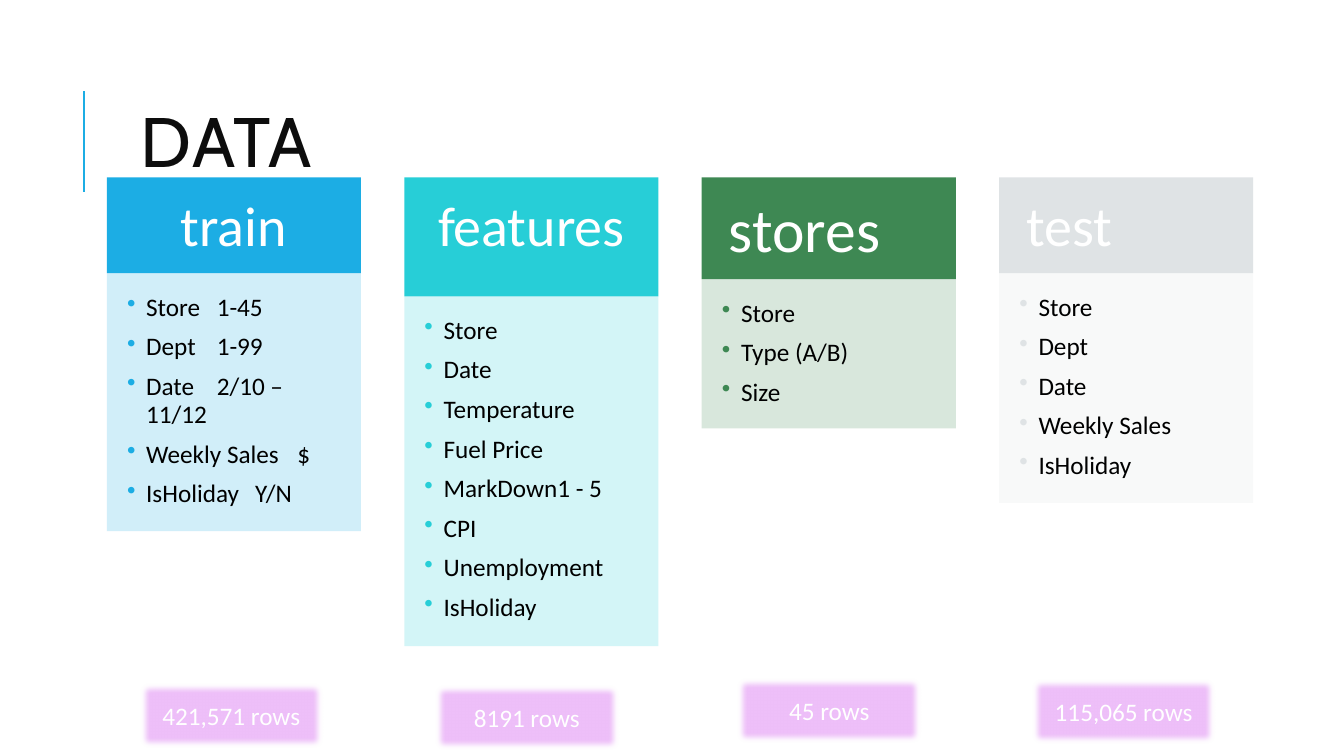
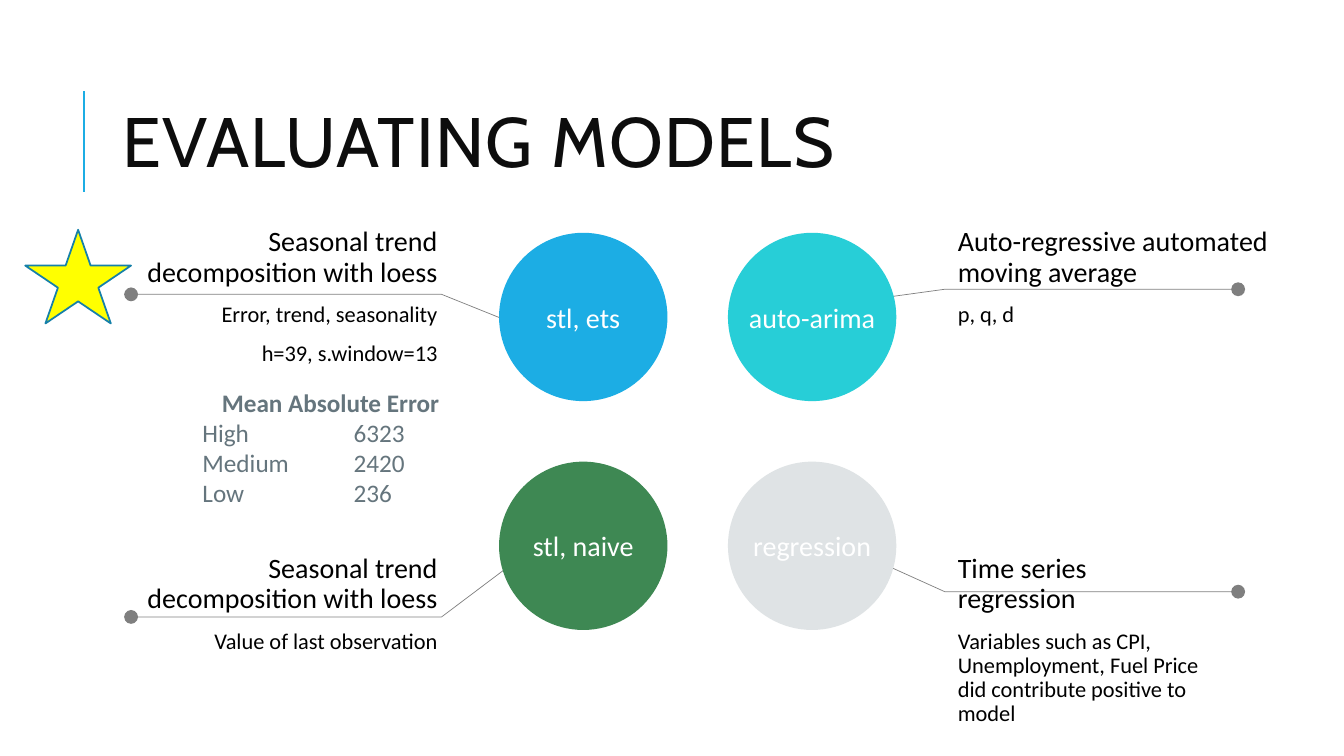
from dataclasses import dataclass

from pptx import Presentation
from pptx.dml.color import RGBColor
from pptx.enum.shapes import MSO_CONNECTOR as Connector, MSO_SHAPE as Preset
from pptx.enum.text import MSO_ANCHOR as Anchor, PP_ALIGN as Align
from pptx.oxml.ns import qn
from pptx.util import Emu, Inches, Pt
from lxml.etree import SubElement


@dataclass(frozen=True)
class Theme:
    accents: tuple = ("1CADE4", "27CED7", "3E8853", "DFE3E5")
    outline: str = "1580A9"
    badge: str = "EEBFF9"
    star: str = "FFFF00"
    slate: str = "65757D"
    ink: str = "000000"
    title_ink: str = "0D0D0D"
    white: str = "FFFFFF"
    title_font: str = "Cabin"
    body_font: str = "Calibri"
    title_size: int = 50
    header_size: int = 40
    large_header_size: int = 44
    label_size: int = 20
    body_size: int = 18
    detail_size: int = 16


THEME = Theme()
WIDTH, HEIGHT = 13.33, 7.5
CARD_LEFT, CARD_TOP, CARD_WIDTH, CARD_PITCH = 1.06, 1.76, 2.52, 2.95
CIRCLE_LEFT, CIRCLE_TOP, CIRCLE_SIZE, CIRCLE_PITCH = 4.95, 2.31, 1.67, 2.27
BADGE_SIZE = (1.87, 0.7)

CARDS = [
    ("train", THEME.header_size, Align.CENTER, 0.95, 2.56,
     ["Store\t1-45", "Dept\t1-99", "Date\t2/10 –\v11/12", "Weekly Sales\t$", "IsHoliday\tY/N"]),
    ("features", THEME.header_size, Align.CENTER, 1.18, 3.47,
     ["Store", "Date", "Temperature", "Fuel Price", "MarkDown1 - 5", "CPI",
      "Unemployment", "IsHoliday"]),
    ("stores", THEME.large_header_size, Align.LEFT, 1.01, 1.48,
     ["Store", "Type (A/B)", "Size"]),
    ("test", THEME.header_size, Align.LEFT, 0.95, 2.28,
     ["Store", "Dept", "Date", "Weekly Sales", "IsHoliday"]),
]
CARD_TABS = (0.89, 1.27, 1.69)
BADGES = [
    ("421,571 rows", 1.36, 6.75),
    ("8191 rows", 4.29, 6.77),
    ("45 rows", 7.29, 6.7),
    ("115,065 rows", 10.21, 6.71),
]
MODELS = ["stl, ets", "auto-arima", "stl, naive", "regression"]
LEADERS = [
    [(8.64, 2.97), (9.37, 2.87), (12.28, 2.87)],
    [(8.64, 5.54), (9.37, 5.87), (12.28, 5.87)],
    [(5.15, 3.23), (4.38, 2.92), (1.3, 2.92)],
    [(5.15, 5.54), (4.38, 6.12), (1.3, 6.12)],
]
NOTES = [
    ((9.37, 2.21, 3.64, 1.1), Align.LEFT,
     ["Auto-regressive automated moving average", "p, q, d"]),
    ((9.37, 5.45, 2.75, 1.53), Align.LEFT,
     ["Time series regression",
      "Variables such as CPI, Unemployment, Fuel Price did contribute positive to model"]),
    ((1.3, 2.21, 3.17, 1.5), Align.RIGHT,
     ["Seasonal trend decomposition with loess", "Error, trend, seasonality",
      "h=39, s.window=13"]),
    ((1.12, 5.45, 3.35, 1.1), Align.RIGHT,
     ["Seasonal trend decomposition with loess", "Value of last observation"]),
]
ERRORS = ["Mean Absolute Error", "High\t6323", "Medium\t2420", "Low\t236"]


def color(value):
    return RGBColor.from_string(value)


def box(left, top, width, height):
    return [Inches(length) for length in (left, top, width, height)]


def set_alpha(fill_parent, percent):
    color_element = fill_parent.find(qn("a:solidFill"))[0]
    SubElement(color_element, qn("a:alpha"), val=str(percent * 1000))


def style_font(paragraph, size, ink, name=THEME.body_font, bold=False):
    font = paragraph.font
    font.size, font.name, font.bold = Pt(size), name, bold
    font.color.rgb = color(ink)


def add_tabs(paragraph, stops):
    tabs = SubElement(paragraph._p.get_or_add_pPr(), qn("a:tabLst"))
    for stop in stops:
        SubElement(tabs, qn("a:tab"), pos=str(Inches(stop)), algn="l")


def add_bullet(paragraph, accent):
    properties = paragraph._p.get_or_add_pPr()
    properties.set("marL", str(Inches(0.19)))
    properties.set("indent", str(-Inches(0.19)))
    SubElement(SubElement(properties, qn("a:buClr")), qn("a:srgbClr"), val=accent)
    SubElement(properties, qn("a:buChar"), char="•")


def prepare_frame(shape, margins=(0.1, 0.05), anchor=Anchor.TOP, wrap=True):
    frame = shape.text_frame
    frame.word_wrap, frame.vertical_anchor = wrap, anchor
    frame.margin_left = frame.margin_right = Inches(margins[0])
    frame.margin_top = frame.margin_bottom = Inches(margins[1])
    return frame


def write(frame, lines):
    for index, line in enumerate(lines):
        paragraph = frame.add_paragraph() if index else frame.paragraphs[0]
        paragraph.text = line
        yield index, paragraph


def add_shape(slide, preset, bounds, fill, outline=None):
    shape = slide.shapes.add_shape(preset, *box(*bounds))
    shape.shadow.inherit = False
    shape.fill.solid()
    shape.fill.fore_color.rgb = color(fill)
    if outline:
        shape.line.color.rgb = color(outline)
        shape.line.width = Pt(1.25)
    else:
        shape.line.fill.background()
    return shape


def add_label(shape, text, size, align=Align.CENTER, **frame_options):
    frame = prepare_frame(shape, **frame_options)
    for _, paragraph in write(frame, [text]):
        paragraph.alignment = align
        style_font(paragraph, size, THEME.white)


def add_titled_slide(presentation, title, shift=0):
    slide = presentation.slides.add_slide(presentation.slide_layouts[6])
    rule = slide.shapes.add_connector(
        Connector.STRAIGHT, Inches(0.83), Inches(1.9), Inches(0.83), Inches(0.9))
    rule.line.color.rgb = color(THEME.accents[0])
    rule.line.width = Pt(1.5)
    SubElement(rule._element.spPr, qn("a:effectLst"))
    return slide, lambda: add_title(slide, title, shift)


def add_title(slide, title, shift):
    shape = slide.shapes.add_textbox(*box(1.12 + shift, 0.64, 10.63, 1.64))
    frame = prepare_frame(shape, anchor=Anchor.MIDDLE)
    for _, paragraph in write(frame, [title]):
        paragraph.line_spacing = 0.8
        style_font(paragraph, THEME.title_size, THEME.title_ink, THEME.title_font)
        paragraph._p.pPr.find(qn("a:defRPr")).set("spc", "100")


def add_card(slide, column, card):
    heading, size, align, header_height, body_height, fields = card
    left, accent = CARD_LEFT + column * CARD_PITCH, THEME.accents[column]
    header = add_shape(
        slide, Preset.RECTANGLE, (left, CARD_TOP, CARD_WIDTH, header_height), accent)
    add_label(header, heading, size, align, margins=(0.27, 0.13))
    body = add_shape(slide, Preset.RECTANGLE,
                     (left, CARD_TOP + header_height, CARD_WIDTH, body_height), accent)
    set_alpha(body._element.spPr, 20)
    for _, paragraph in write(prepare_frame(body, (0.2, 0.2)), fields):
        paragraph.alignment = Align.LEFT
        paragraph.line_spacing, paragraph.space_after = 0.94, Pt(8)
        add_bullet(paragraph, accent)
        if "\t" in paragraph.text:
            add_tabs(paragraph, CARD_TABS)
        style_font(paragraph, THEME.body_size, THEME.ink)


def add_badge(slide, text, left, top):
    badge = add_shape(slide, Preset.RECTANGLE, (left, top, *BADGE_SIZE), THEME.badge)
    effects = badge._element.spPr.find(qn("a:effectLst"))
    SubElement(effects, qn("a:softEdge"), rad=str(Pt(5)))
    add_label(badge, text, THEME.body_size, anchor=Anchor.MIDDLE)


def add_leader(slide, points):
    start, *rest = [(Inches(x), Inches(y)) for x, y in points]
    builder = slide.shapes.build_freeform(*start, scale=1.0)
    builder.add_line_segments(rest, close=False)
    leader = builder.convert_to_shape(Emu(0), Emu(0))
    leader.shadow.inherit = False
    leader.fill.background()
    leader.line.color.rgb = color(THEME.ink)
    leader.line.width = Pt(0.5)
    line = leader._element.spPr.find(qn("a:ln"))
    set_alpha(line, 50)
    SubElement(line, qn("a:tailEnd"), type="oval", w="lg", len="lg")


def add_model(slide, index, name):
    row, column = divmod(index, 2)
    bounds = (CIRCLE_LEFT + column * CIRCLE_PITCH, CIRCLE_TOP + row * CIRCLE_PITCH,
              CIRCLE_SIZE, CIRCLE_SIZE)
    circle = add_shape(slide, Preset.OVAL, bounds, THEME.accents[index])
    add_label(circle, name, THEME.label_size,
              margins=(0, 0), anchor=Anchor.MIDDLE, wrap=False)


def add_note(slide, bounds, align, lines):
    frame = prepare_frame(slide.shapes.add_textbox(*box(*bounds)), (0.13, 0.05))
    for index, paragraph in write(frame, lines):
        paragraph.alignment, paragraph.line_spacing = align, 0.9
        if index:
            paragraph.space_before = Pt(10.7)
        size = THEME.detail_size if index else THEME.label_size
        style_font(paragraph, size, THEME.ink)


def add_errors(slide):
    frame = prepare_frame(slide.shapes.add_textbox(*box(1.91, 3.79, 2.74, 1.31)))
    for index, paragraph in write(frame, ERRORS):
        paragraph.alignment = Align.LEFT if index else Align.CENTER
        if index:
            add_tabs(paragraph, [1.5])
        style_font(paragraph, THEME.body_size, THEME.slate, bold=not index)


def build_data_slide(presentation):
    slide, place_title = add_titled_slide(presentation, "DATA", shift=0.18)
    place_title()
    for column, card in enumerate(CARDS):
        add_card(slide, column, card)
    for badge in BADGES:
        add_badge(slide, *badge)


def build_models_slide(presentation):
    slide, place_title = add_titled_slide(presentation, "EVALUATING MODELS")
    for points in LEADERS:
        add_leader(slide, points)
    for index, name in enumerate(MODELS):
        add_model(slide, index, name)
    place_title()
    for note in NOTES:
        add_note(slide, *note)
    add_shape(slide, Preset.STAR_5_POINT, (0.25, 2.28, 1.05, 0.93),
              THEME.star, THEME.outline)
    add_errors(slide)


def main():
    presentation = Presentation()
    presentation.slide_width, presentation.slide_height = Inches(WIDTH), Inches(HEIGHT)
    build_data_slide(presentation)
    build_models_slide(presentation)
    presentation.save("out.pptx")


if __name__ == "__main__":
    main()
